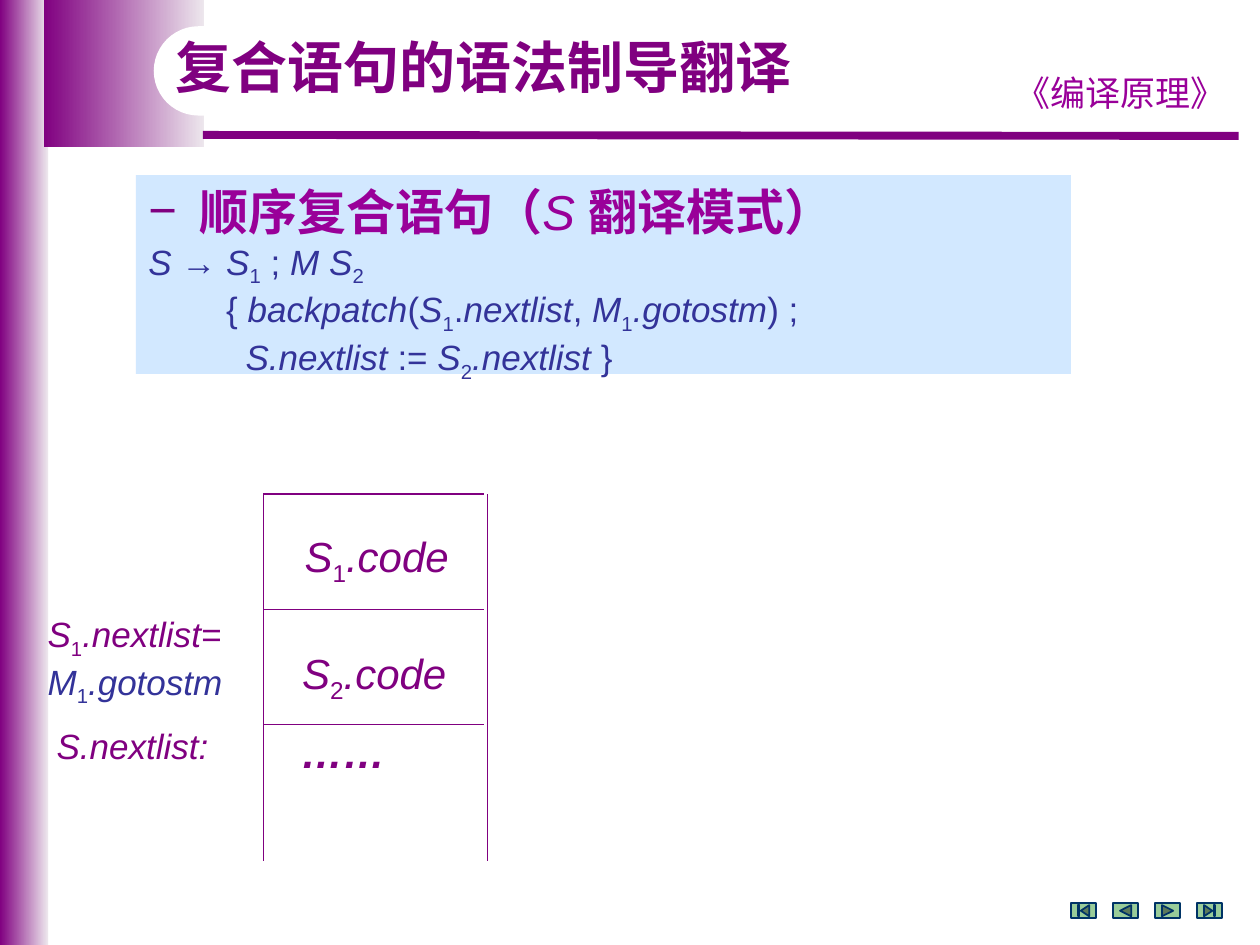
from lxml import etree
from pptx import Presentation
from pptx.dml.color import RGBColor
from pptx.enum.dml import MSO_THEME_COLOR
from pptx.enum.shapes import MSO_CONNECTOR, MSO_SHAPE
from pptx.enum.text import MSO_ANCHOR, MSO_AUTO_SIZE, PP_ALIGN
from pptx.oxml.ns import qn
from pptx.util import Cm, Pt

RECTANGLE, ROUNDED = MSO_SHAPE.RECTANGLE, MSO_SHAPE.ROUNDED_RECTANGLE
BUTTONS = (MSO_SHAPE.ACTION_BUTTON_BEGINNING, MSO_SHAPE.ACTION_BUTTON_BACK_OR_PREVIOUS,
           MSO_SHAPE.ACTION_BUTTON_FORWARD_OR_NEXT, MSO_SHAPE.ACTION_BUTTON_END)
STRAIGHT = MSO_CONNECTOR.STRAIGHT
TOP, MIDDLE = MSO_ANCHOR.TOP, MSO_ANCHOR.MIDDLE
LEFT, CENTER = PP_ALIGN.LEFT, PP_ALIGN.CENTER
NO_AUTOFIT = MSO_AUTO_SIZE.NONE

PURPLE = RGBColor(0x80, 0x00, 0x80)
PALE_PURPLE = RGBColor(0xED, 0xE7, 0xED)
VIOLET = RGBColor(0x99, 0x00, 0x99)
INDIGO = RGBColor(0x33, 0x33, 0x99)
SKY = RGBColor(0xAD, 0xD6, 0xFF)
WHITE = RGBColor(0xFF, 0xFF, 0xFF)
GREEN = RGBColor(0x99, 0xCC, 0x99)
NAVY = RGBColor(0x00, 0x33, 0x66)
BODY_FONT, HEADING_FONT, COURSE_FONT = "Arial", "Noto Sans CJK SC", "Comic Neue"


def add_run(paragraph, text, size, color, style="", font=BODY_FONT):
    run = paragraph.add_run()
    run.text = text
    run.font.size = Pt(size)
    run.font.name = font
    run.font.color.rgb = color
    run.font.bold = "b" in style
    run.font.italic = "i" in style
    properties = run.font._element
    if "s" in style:
        properties.set("baseline", "-25000")
    etree.SubElement(properties, qn("a:ea")).set("typeface", font)


def add_runs(paragraph, runs, size, color):
    for text, style in runs:
        add_run(paragraph, text, size, color, style)


def add_label(slide, left, top, width, height):
    frame = slide.shapes.add_textbox(Cm(left), Cm(top), Cm(width), Cm(height)).text_frame
    frame.word_wrap = False
    return frame


def add_filled(slide, kind, left, top, width, height, color):
    shape = slide.shapes.add_shape(kind, Cm(left), Cm(top), Cm(width), Cm(height))
    shape.shadow.inherit = False
    shape.fill.solid()
    shape.fill.fore_color.rgb = color
    shape.line.fill.background()
    return shape


def add_gradient(slide, left, top, width, height):
    band = add_filled(slide, RECTANGLE, left, top, width, height, PURPLE)
    band.fill.gradient()
    band.fill.gradient_angle = 0
    for stop, color, position in zip(band.fill.gradient_stops, (PURPLE, PALE_PURPLE), (0, 1)):
        stop.color.theme_color = MSO_THEME_COLOR.ACCENT_1
        stop.color.rgb = color
        stop.position = position


def add_line(slide, x1, y1, x2, y2, width):
    line = slide.shapes.add_connector(STRAIGHT, Cm(x1), Cm(y1), Cm(x2), Cm(y2))
    line.line.color.rgb = PURPLE
    line.line.width = Pt(width)
    etree.SubElement(line._element.spPr, qn("a:effectLst"))


def build_header(slide, left, top, width, height):
    add_gradient(slide, left, top, 0.97, height)
    add_gradient(slide, left + 0.89, top, 3.23, 2.97)
    add_line(slide, left + 4.09, top + 2.72, left + width, top + 2.74, 4.5)

    course = add_label(slide, left + 20.09, top + 1.32, 5, 1.09)
    course.paragraphs[0].alignment = CENTER
    add_run(course.paragraphs[0], "《编译原理》", 20, VIOLET, font=COURSE_FONT)

    notch = add_filled(slide, ROUNDED, left + 3.1, top + 0.53, 9.19, 1.8, WHITE)
    notch.adjustments[0] = 0.5

    title = slide.shapes.title
    notch.element.addnext(title.element)
    title.left, title.top = Cm(left + 3.02), Cm(top + 0.53)
    title.width, title.height = Cm(17.48), Cm(1.6)
    frame = title.text_frame
    frame.auto_size = NO_AUTOFIT
    frame.vertical_anchor = MIDDLE
    frame.margin_left = Cm(0.52)
    frame.paragraphs[0].alignment = LEFT
    add_run(frame.paragraphs[0], "复合语句的语法制导翻译", 32, PURPLE, "b", HEADING_FONT)


def build_translation_scheme(slide, left, top, width, height):
    panel = add_filled(slide, RECTANGLE, left, top, width, height, SKY)
    color = panel.fill._xPr.find(qn("a:solidFill"))[0]
    etree.SubElement(color, qn("a:alpha")).set("val", "54000")
    frame = panel.text_frame
    frame.word_wrap = True
    frame.vertical_anchor = TOP

    heading = frame.paragraphs[0]
    heading.alignment = LEFT
    properties = heading._p.get_or_add_pPr()
    properties.set("marL", str(Cm(1.04)))
    properties.set("indent", str(-Cm(1.04)))
    bullet_color = etree.SubElement(properties, qn("a:buClr"))
    etree.SubElement(bullet_color, qn("a:srgbClr")).set("val", str(PURPLE))
    etree.SubElement(properties, qn("a:buFont")).set("typeface", BODY_FONT)
    etree.SubElement(properties, qn("a:buChar")).set("char", "−")
    add_runs(heading, (("顺序复合语句（", "b"), ("S ", "i"), ("翻译模式）", "b")), 28, VIOLET)

    rules = (
        (0, (("S ", "i"), ("→ ", ""), ("S", "i"), ("1", "s"), (" ; ", ""),
             ("M S", "i"), ("2", "s"))),
        (1.57, (("{ ", ""), ("backpatch", "i"), ("(", ""), ("S", "i"), ("1", "s"),
                (".", ""), ("nextlist", "i"), (", ", ""), ("M", "i"), ("1", "s"),
                (".gotostm", "i"), (") ;", ""))),
        (1.96, (("S.nextlist ", "i"), (":=", ""), (" S", "i"), ("2", "s"),
                (".nextlist", "i"), (" }", ""))),
    )
    for margin, runs in rules:
        paragraph = frame.add_paragraph()
        paragraph.alignment = LEFT
        paragraph._p.get_or_add_pPr().set("marL", str(Cm(margin)))
        add_runs(paragraph, runs, 20, INDIGO)


def build_code_layout(slide, left, top, width, height):
    row = 2.32
    for x in (left, left + width):
        add_line(slide, x, top, x, top + height, 0.75)
    for index in range(3):
        y = top + index * row
        add_line(slide, left, y, left + 4.45, y, 0.75)

    for index, x in ((1, 0.58), (2, 0.53)):
        code = add_label(slide, left + x, top + 0.6 + (index - 1) * 2.36, 3.45, 1.27)
        add_runs(code.paragraphs[0], (("S", "i"), (str(index), "s"), (".code", "i")), 24, PURPLE)
    rest = add_label(slide, left + 0.51, top + 4.57, 2.21, 1.27)
    add_run(rest.paragraphs[0], "……", 24, PURPLE, "bi")

    jump = add_label(slide, left - 4.6, top + 2.26, 4.09, 1.96)
    add_runs(jump.paragraphs[0], (("S", "i"), ("1", "s"), (".nextlist=", "i")), 20, PURPLE)
    add_runs(jump.add_paragraph(), (("M", "i"), ("1", "s"), (".gotostm", "i")), 20, INDIGO)
    exit_label = add_label(slide, left - 4.42, top + 4.52, 3.61, 1.12)
    add_run(exit_label.paragraphs[0], "S.nextlist:", 20, PURPLE, "i")


def build_navigation(slide, left, top, width, height):
    button_width = 0.51
    pitch = (width - button_width) / (len(BUTTONS) - 1)
    for index, kind in enumerate(BUTTONS):
        button = add_filled(slide, kind, left + index * pitch, top, button_width, height, GREEN)
        button.line.color.rgb = NAVY
        button.line.width = Pt(1)


def main():
    presentation = Presentation()
    presentation.slide_width, presentation.slide_height = Cm(25.4), Cm(19.05)
    slide = presentation.slides.add_slide(presentation.slide_layouts[5])
    build_header(slide, 0, 0, 24.97, 19.05)
    build_translation_scheme(slide, 2.74, 3.53, 18.85, 4.01)
    build_navigation(slide, 21.59, 18.21, 3.05, 0.3)
    build_code_layout(slide, 5.31, 9.96, 4.52, 7.39)
    presentation.save("out.pptx")


if __name__ == "__main__":
    main()
